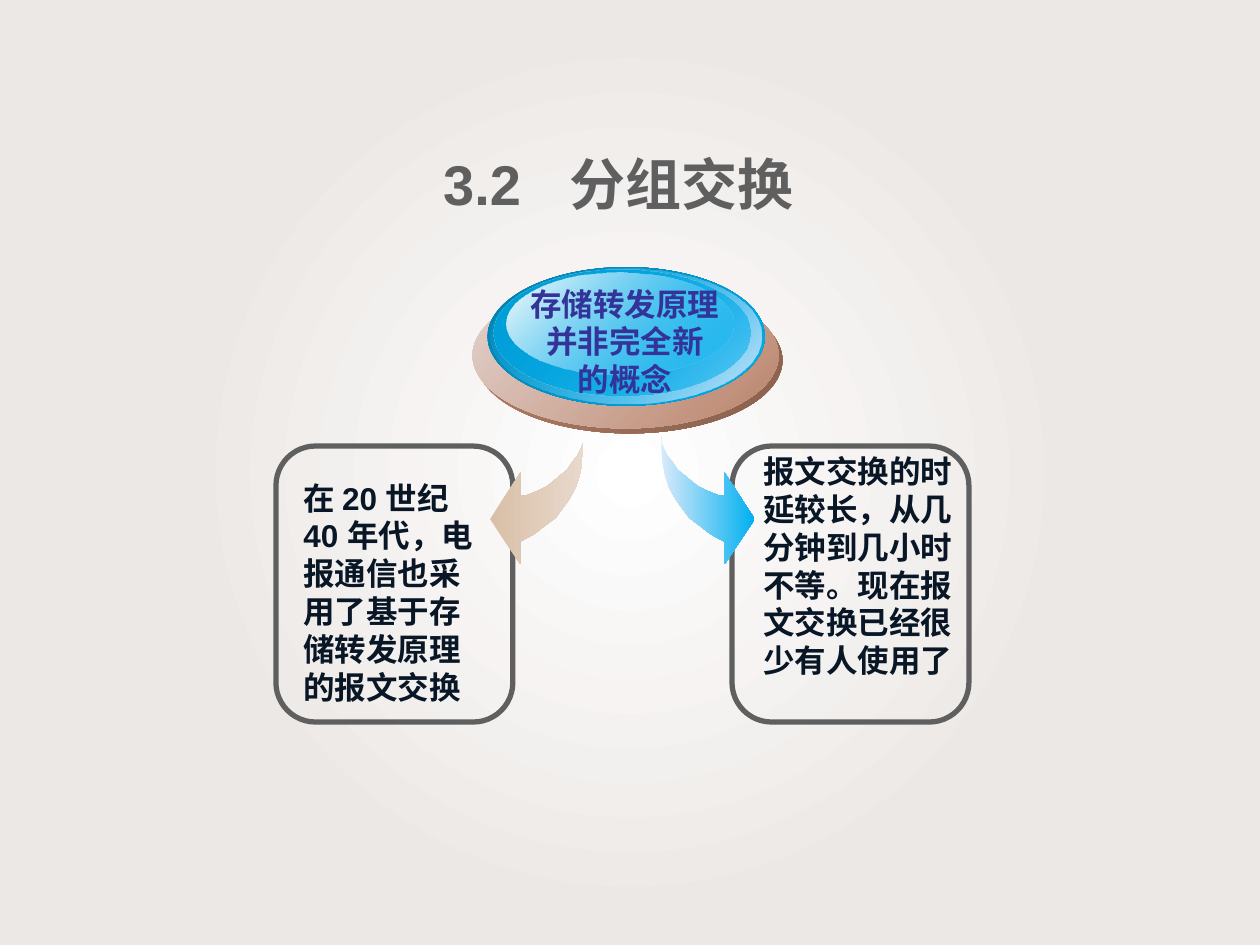
"""Build a slide on packet switching: a central idea with two arrows to notes."""
from lxml import etree
from pptx import Presentation
from pptx.dml.color import RGBColor
from pptx.enum import shapes, text
from pptx.oxml import ns
from pptx.util import Inches, Pt

GREY = RGBColor(0x5F, 0x5F, 0x5F)
NAVY = RGBColor(0x08, 0x16, 0x26)
INDIGO = RGBColor(0x33, 0x33, 0x99)
WHITE = RGBColor(0xFF, 0xFF, 0xFF)
STONE = RGBColor(0xEC, 0xE8, 0xE5)
CLAY = RGBColor(0xBA, 0x83, 0x6A)
BROWN = RGBColor(0x88, 0x60, 0x4D)
ROSE = RGBColor(0xE4, 0xD4, 0xCF)
TAN = RGBColor(0xD9, 0xBF, 0xA7)
SAND = RGBColor(0xE8, 0xD9, 0xCD)
SKY = RGBColor(0x00, 0xB0, 0xF0)
BLUE = RGBColor(0x00, 0x9F, 0xD9)
DEEP_BLUE = RGBColor(0x00, 0x7E, 0xAC)
PALE_BLUE = RGBColor(0xD4, 0xE7, 0xFA)
ICE = RGBColor(0xD8, 0xEA, 0xFA)

MIRROR_SUM = 9.88
ARROW = [
    (4.63, 3.46), (4.63, 3.57), (4.62, 3.68), (4.6, 3.78), (4.57, 3.87),
    (4.52, 3.96), (4.47, 4.03), (4.41, 4.11), (4.33, 4.17), (4.24, 4.24),
    (4.13, 4.3), (4.13, 4.48), (3.89, 4.12), (4.13, 3.75), (4.13, 3.93),
    (4.18, 3.93), (4.23, 3.91), (4.28, 3.89), (4.34, 3.86), (4.39, 3.82),
    (4.45, 3.77), (4.5, 3.73), (4.54, 3.67), (4.58, 3.62), (4.61, 3.56),
    (4.63, 3.51),
]
DISCS = [
    ((3.78, 2.28, 2.43, 1.16), (CLAY, 100), (BROWN, 100)),
    ((3.75, 2.24, 2.43, 1.16), (ROSE, 100), (CLAY, 100)),
    ((3.87, 2.12, 2.2, 1.1), (DEEP_BLUE, 100), (SKY, 100)),
    ((3.89, 2.13, 2.15, 1.07), (SKY, 0), (PALE_BLUE, 100)),
    ((3.92, 2.14, 2.04, 1), (BLUE, 100), (SKY, 48)),
    ((4.02, 2.16, 1.8, 0.81), (WHITE, 100), (SKY, 38)),
]
NOTES = [
    (2.19, (2.31, 3.75, 1.67, 1.9),
     "在 20 世纪 40 年代，电报通信也采用了基于存储转发原理的报文交换"),
    (5.81, (5.96, 3.54, 1.71, 2.2),
     "报文交换的时延较长，从几分钟到几小时不等。现在报文交换已经很少有人使用了"),
]


def set_gradient(shape, stops, angle=None):
    """Fill with (position, colour, opacity) stops, radially if no angle."""
    shape.shadow.inherit = False
    shape.line.fill.background()
    shape.fill.background()
    gradient = etree.Element(ns.qn("a:gradFill"), rotWithShape="1")
    stop_list = etree.SubElement(gradient, ns.qn("a:gsLst"))
    for position, colour, opacity in stops:
        stop = etree.SubElement(stop_list, ns.qn("a:gs"), pos=str(position * 1000))
        tone = etree.SubElement(stop, ns.qn("a:srgbClr"), val=str(colour))
        if opacity < 100:
            etree.SubElement(tone, ns.qn("a:alpha"), val=str(opacity * 1000))
    if angle is None:
        radial = etree.SubElement(gradient, ns.qn("a:path"), path="circle")
        sides = dict.fromkeys("ltrb", "50000")
        etree.SubElement(radial, ns.qn("a:fillToRect"), **sides)
    else:
        etree.SubElement(gradient, ns.qn("a:lin"), ang=str(angle * 60000), scaled="0")
    properties = shape._element.spPr
    properties.replace(properties.find(ns.qn("a:noFill")), gradient)


def add_preset(page, kind, place):
    """Add a preset shape at a place given in inches."""
    return page.shapes.add_shape(kind, *map(Inches, place))


def add_backdrop(page):
    """Cover the page with a soft radial glow."""
    backdrop = add_preset(page, shapes.MSO_SHAPE.RECTANGLE, (0, 0, 10, 7.5))
    set_gradient(backdrop, [(0, WHITE, 100), (57, STONE, 100)])


def add_disc(page, place, start, end):
    """Add one layer of the central button."""
    disc = add_preset(page, shapes.MSO_SHAPE.OVAL, place)
    set_gradient(disc, [(0, *start), (100, *end)], 45)


def add_frame(page, left):
    """Add an outlined rounded frame for a note."""
    frame = add_preset(page, shapes.MSO_SHAPE.ROUNDED_RECTANGLE, (left, 3.54, 1.88, 2.19))
    frame.shadow.inherit = False
    frame.fill.background()
    frame.line.color.rgb = GREY
    frame.line.width = Pt(3)


def add_arrow(page, points, start, end):
    """Add a curved arrow through the points."""
    outline = [(Inches(x), Inches(y)) for x, y in points]
    builder = page.shapes.build_freeform(*outline[0])
    builder.add_line_segments(outline[1:], close=True)
    set_gradient(builder.convert_to_shape(), [(0, start, 100), (100, end, 100)], 0)


def add_text(page, place, lines, colour, size=18, align=text.PP_ALIGN.LEFT):
    """Add a bold wrapped text box and return it."""
    box = page.shapes.add_textbox(*map(Inches, place))
    box.text_frame.word_wrap = True
    box.text_frame.text = lines
    for para in box.text_frame.paragraphs:
        para.alignment = align
        for span in para.runs:
            span.font.name = "Arial"
            span.font.size = Pt(size)
            span.font.bold = True
            span.font.color.rgb = colour
    return box


def add_title(page):
    """Add the section title with tight margins and line spacing."""
    box = add_text(page, (1.76, 1.21, 6.74, 0.76), "3.2\t分组交换　", GREY, 32,
                   text.PP_ALIGN.CENTER)
    frame = box.text_frame
    frame.margin_left = frame.margin_right = Inches(0.07)
    frame.margin_top = frame.margin_bottom = Inches(0.04)
    frame.paragraphs[0].line_spacing = 0.9


def main():
    """Compose and save the slide."""
    deck = Presentation()
    deck.slide_width, deck.slide_height = Inches(10), Inches(7.5)
    page = deck.slides.add_slide(deck.slide_layouts[6])
    add_backdrop(page)
    for left, place, words in NOTES:
        add_frame(page, left)
        add_text(page, place, words, NAVY)
    add_arrow(page, ARROW, TAN, SAND)
    add_arrow(page, [(MIRROR_SUM - x, y) for x, y in ARROW], ICE, SKY)
    for place, start, end in DISCS:
        add_disc(page, place, start, end)
    add_text(page, (3.88, 2.21, 2.16, 1), "存储转发原理\v并非完全新\n的概念", INDIGO,
             align=text.PP_ALIGN.CENTER)
    add_title(page)
    deck.save("out.pptx")


if __name__ == "__main__":
    main()
